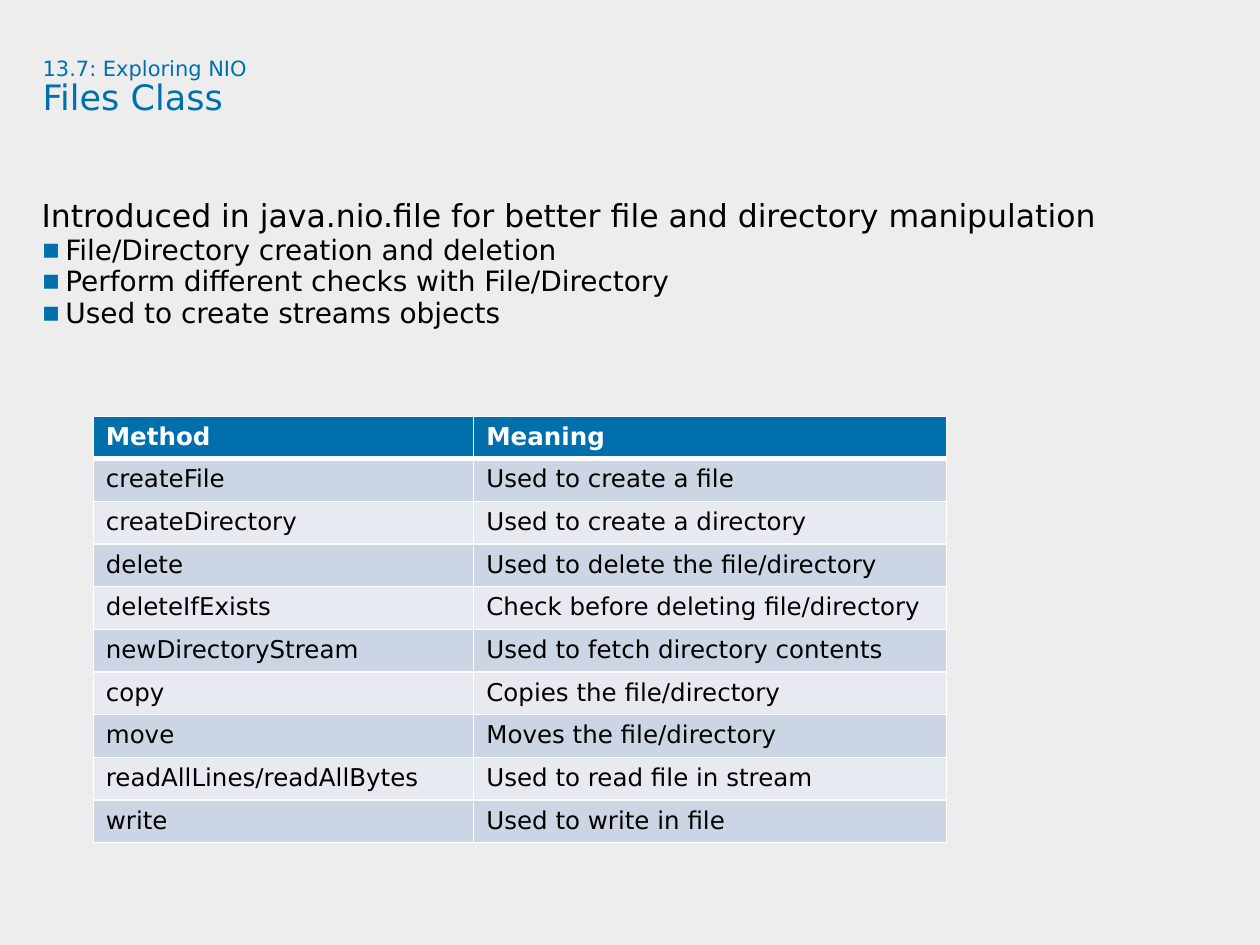
from typing import NamedTuple

from lxml.etree import SubElement
from pptx import Presentation
from pptx.dml.color import RGBColor
from pptx.oxml.ns import qn
from pptx.util import Cm, Pt

FONT = "DejaVu Sans"
BLUE, BLACK, WHITE, GREY = "0070AD", "000000", "FFFFFF", "EDEDED"
BANDS = ("CCD5E3", "E7EBF1")


class Line(NamedTuple):
    text: str
    size: float
    spacing: float | Pt
    after: float = 0
    bullet: bool = False


class Method(NamedTuple):
    name: str
    meaning: str


TITLE = [Line("13.7: Exploring NIO", 12, 0.9), Line("Files Class", 20, 0.9)]
POINTS = [
    "File/Directory creation and deletion",
    "Perform different checks with File/Directory",
    "Used to create streams objects",
]
BODY = [
    Line("Introduced in java.nio.file for better file and directory manipulation",
         18, Pt(16.5), 4.5),
    *(Line(point, 16, Pt(13.5), 4.5, True) for point in POINTS),
]
METHODS = [
    Method("Method", "Meaning"),
    Method("createFile", "Used to create a file"),
    Method("createDirectory", "Used to create a directory"),
    Method("delete", "Used to delete the file/directory"),
    Method("deleteIfExists", "Check before deleting file/directory"),
    Method("newDirectoryStream", "Used to fetch directory contents"),
    Method("copy", "Copies the file/directory"),
    Method("move", "Moves the file/directory"),
    Method("readAllLines/readAllBytes", "Used to read file in stream"),
    Method("write", "Used to write in file"),
]
COLUMN_WIDTHS = (Cm(7.67), Cm(9.53))
HEADER_HEIGHT, ROW_HEIGHT = Cm(0.71), Cm(0.86)


def paint(target, color: str) -> None:
    """Give a fill a solid colour."""
    target.solid()
    target.fore_color.rgb = RGBColor.from_string(color)


def style_text(paragraph, size: float, color: str, bold: bool = False) -> None:
    for span in paragraph.runs:
        span.font.name = FONT
        span.font.size = Pt(size)
        span.font.bold = bold
        span.font.color.rgb = RGBColor.from_string(color)


def add_bullet(paragraph) -> None:
    properties = paragraph._p.get_or_add_pPr()
    properties.set("marL", str(Cm(0.48)))
    properties.set("indent", str(-Cm(0.48)))
    bullet_color = SubElement(properties, qn("a:buClr"))
    SubElement(bullet_color, qn("a:srgbClr"), val=BLUE)
    SubElement(properties, qn("a:buFont"), typeface=FONT)
    SubElement(properties, qn("a:buChar"), char="▪")


def add_text(page, left: Cm, top: Cm, width: Cm, height: Cm,
             lines: list[Line], color: str) -> None:
    frame = page.shapes.add_textbox(left, top, width, height).text_frame
    frame.word_wrap = True
    frame.margin_left = frame.margin_right = 0
    frame.margin_top = frame.margin_bottom = 0
    frame.text = "\n".join(line.text for line in lines)
    for paragraph, line in zip(frame.paragraphs, lines):
        if line.bullet:
            add_bullet(paragraph)
        paragraph.line_spacing = line.spacing
        paragraph.space_after = Pt(line.after)
        style_text(paragraph, line.size, color)


def add_border(cell, side: str, width: float) -> None:
    border = SubElement(cell._tc.get_or_add_tcPr(), qn(f"a:ln{side}"), w=str(Pt(width)))
    fill = SubElement(border, qn("a:solidFill"))
    SubElement(fill, qn("a:srgbClr"), val=WHITE)


def add_methods(page, left: Cm, top: Cm) -> None:
    height = HEADER_HEIGHT + ROW_HEIGHT * (len(METHODS) - 1)
    table = page.shapes.add_table(len(METHODS), len(COLUMN_WIDTHS), left, top,
                                  sum(COLUMN_WIDTHS), height).table
    for column, width in zip(table.columns, COLUMN_WIDTHS):
        column.width = width
    for index, method in enumerate(METHODS):
        header = index == 0
        table.rows[index].height = HEADER_HEIGHT if header else ROW_HEIGHT
        borders = {"L": 1, "R": 1, "T": 3 if index == 1 else 1, "B": 3 if header else 1}
        for cell, text in zip(table.rows[index].cells, method):
            for side, width in borders.items():
                add_border(cell, side, width)
            paint(cell.fill, BLUE if header else BANDS[(index - 1) % 2])
            cell.text_frame.text = text
            style_text(cell.text_frame.paragraphs[0], 14, WHITE if header else BLACK, header)


def main() -> None:
    deck = Presentation()
    deck.slide_width, deck.slide_height = Cm(25.4), Cm(19.05)
    page = deck.slides.add_slide(deck.slide_layouts[6])
    paint(page.background.fill, GREY)
    add_text(page, Cm(0.86), Cm(1.17), Cm(23.09), Cm(2.39), TITLE, BLUE)
    add_text(page, Cm(0.84), Cm(4.14), Cm(24.56), Cm(12.9), BODY, BLACK)
    add_methods(page, Cm(1.88), Cm(8.4))
    deck.save("out.pptx")


if __name__ == "__main__":
    main()
